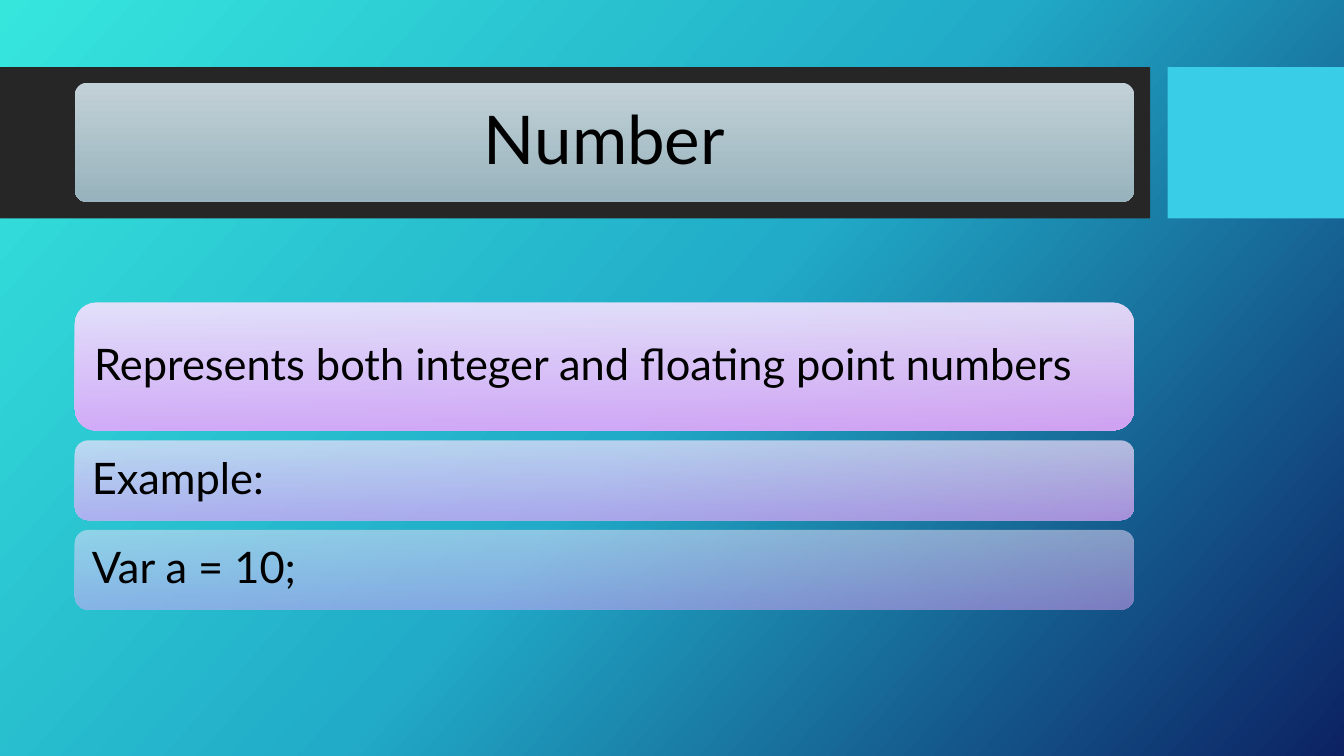
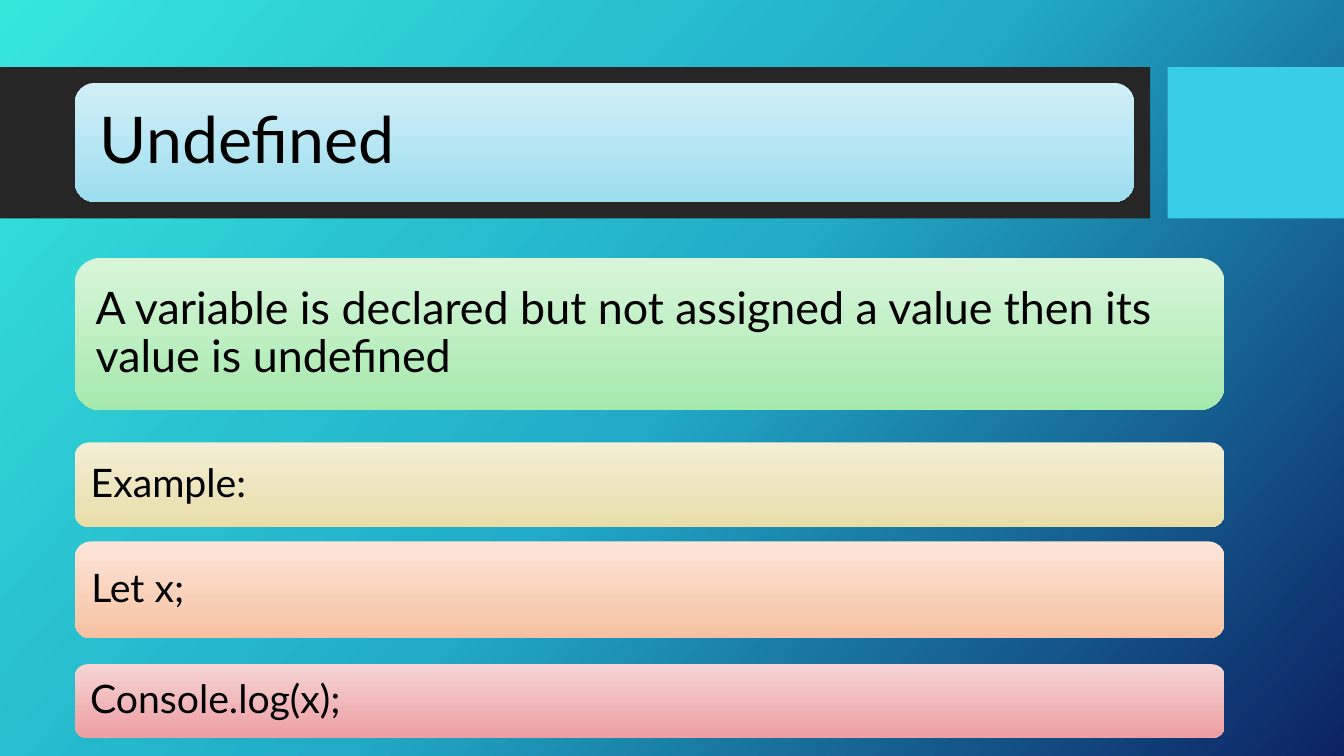
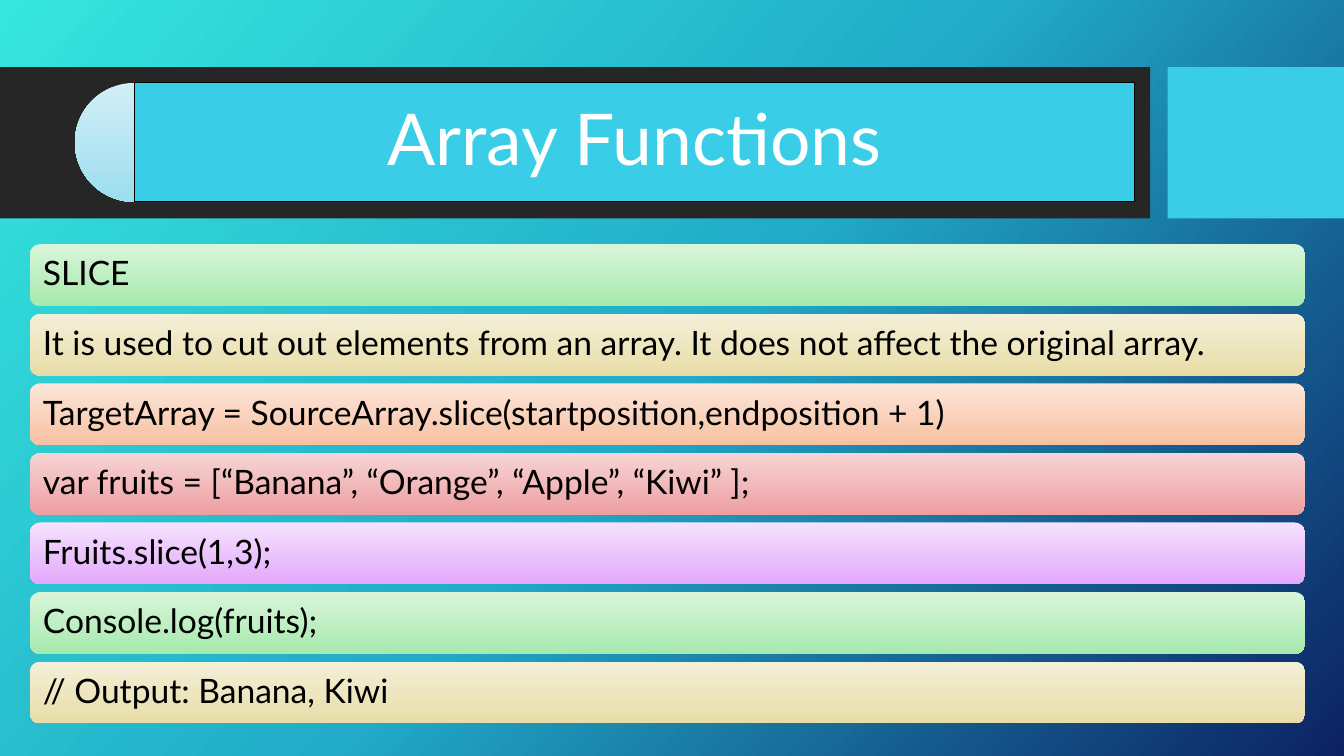
from lxml.etree import SubElement
from pptx import Presentation
from pptx.dml.color import RGBColor
from pptx.enum.shapes import MSO_SHAPE
from pptx.enum.text import MSO_ANCHOR, PP_ALIGN
from pptx.oxml.ns import qn
from pptx.util import Pt

FONT = "Lato"
COLOR = {"band": "262626", "accent": "39CDE7", "ink": "000000", "light": "FFFFFF"}
TONE = {
    "page": ("36E6DD", "21ABC8", "0C2263"),
    "gray": ("C2D1D7", "98B3BD"),
    "sky": ("D2EFF7", "9CDEEF"),
    "green": ("D8F5DA", "A6E9AD"),
    "sand": ("F4EFD8", "E8DDA8"),
    "peach": ("FCE6DA", "F7C1A1"),
    "rose": ("F6D4D5", "ED9FA2"),
    "lilac": ("F5E2FE", "E3A8FB"),
}
HEAD = (53.5, 59.2, 756.6, 85)
CORNER = 0.16667
INSET = 0.3


def rgb(name):
    return RGBColor.from_string(COLOR[name])


def blend(fill, root, tone, angle=90, alpha=100):
    fill.gradient()
    fill.gradient_angle = 360 - angle
    stops = root.find(".//" + qn("a:gsLst"))
    for old in list(stops):
        stops.remove(old)
    hues = TONE[tone]
    for i, hue in enumerate(hues):
        stop = SubElement(stops, qn("a:gs"), pos=str(100000 * i // (len(hues) - 1)))
        color = SubElement(stop, qn("a:srgbClr"), val=hue)
        if alpha < 100:
            SubElement(color, qn("a:alpha"), val=str(alpha * 1000))


def place(shape, box):
    shape.left, shape.top, shape.width, shape.height = (Pt(round(v, 2)) for v in box)


def draw(slide, kind, box):
    shape = slide.shapes.add_shape(kind, *(Pt(round(v, 2)) for v in box))
    shape.shadow.inherit = False
    shape.line.fill.background()
    return shape


def write(shape, text, size, color="ink", align=PP_ALIGN.LEFT):
    frame = shape.text_frame
    frame.text = text
    frame.word_wrap = True
    frame.vertical_anchor = MSO_ANCHOR.MIDDLE
    pad = Pt(round(size * INSET, 2))
    frame.margin_left = frame.margin_right = pad
    frame.margin_top = frame.margin_bottom = pad
    for para in frame.paragraphs:
        para.alignment = align
        para.line_spacing = 0.9
        for run in para.runs:
            run.font.name = FONT
            run.font.size = Pt(size)
            run.font.color.rgb = rgb(color)


def bar(slide, box, tone, alpha=100, corner=CORNER):
    shape = draw(slide, MSO_SHAPE.ROUNDED_RECTANGLE, box)
    shape.adjustments[0] = corner
    blend(shape.fill, shape.element, tone, alpha=alpha)
    return shape


def raise_title(slide, box):
    title = slide.shapes.title
    slide.shapes.element.append(title.element)
    place(title, box)
    return title


def pill_head(slide, box, text, size, tone, align, corner=CORNER):
    x, y, w, h = box
    bar(slide, box, tone, corner=corner)
    edge = 0.29 * corner * h
    title = raise_title(slide, (x + edge, y + edge, w - 2 * edge, h - 2 * edge))
    write(title, text, size, align=align)


def pie_head(slide, box, text, size):
    x, y, w, h = box
    pie = draw(slide, MSO_SHAPE.PIE, (x, y, h, h))
    pie.adjustments[0], pie.adjustments[1] = 54, 162
    blend(pie.fill, pie.element, "sky")
    title = raise_title(slide, (x + h / 2, y, w - h / 2, h))
    title.fill.solid()
    title.fill.fore_color.rgb = rgb("accent")
    title.line.color.rgb = rgb("ink")
    title.line.width = Pt(0.75)
    write(title, text, size, "light", PP_ALIGN.CENTER)


def stack(slide, left, top, width, rows):
    for text, size, tone, alpha, height, gap in rows:
        shape = bar(slide, (left, top, width, height), tone, alpha)
        write(shape, text, size)
        top += height + gap


def dress(deck, layout):
    master = deck.slide_master
    blend(master.background.fill, master.element, "page", 42)


def add_bands(slide, layout):
    bands = (((0, 48, 821.5, 108), "band"), ((834, 48, 126, 108), "accent"))
    for spot, (box, color) in enumerate(bands, 2):
        band = draw(slide, MSO_SHAPE.RECTANGLE, box)
        band.fill.solid()
        band.fill.fore_color.rgb = rgb(color)
        layout.shapes.element.insert(spot, band.element)


def number(slide):
    pill_head(slide, HEAD, "Number", 48, "gray", PP_ALIGN.CENTER, 0.1)
    stack(slide, 53.5, 216, 756.6, (
        ("Represents both integer and floating point numbers", 31, "lilac", 90, 91.5, 7),
        ("Example:", 31, "lilac", 70, 57, 7),
        ("Var a = 10;", 31, "lilac", 50, 57, 0),
    ))


def undefined(slide):
    pill_head(slide, HEAD, "Undefined", 46, "sky", PP_ALIGN.LEFT)
    stack(slide, 53.5, 184.3, 821.3, (
        ("A variable is declared but not assigned a value then its value is undefined",
         32, "green", 100, 108.5, 23.2),
        ("Example:", 28, "sand", 100, 60.5, 10.2),
        ("Let x;", 28, "peach", 100, 69.3, 18.5),
        ("Console.log(x);", 28, "rose", 100, 52.6, 0),
    ))


def arrays(slide):
    pie_head(slide, HEAD, "Array Functions", 51)
    lines = (
        ("SLICE", "green"),
        ("It is used to cut out elements from an array. "
         "It does not affect the original array.", "sand"),
        ("TargetArray = SourceArray.slice(startposition,endposition + 1)", "peach"),
        ("var fruits = [“Banana”, “Orange”, “Apple”, “Kiwi” ];", "rose"),
        ("Fruits.slice(1,3);", "lilac"),
        ("Console.log(fruits);", "green"),
        ("// Output: Banana, Kiwi", "sand"),
    )
    rows = [(text, 24, tone, 100, 44.2, 5.5) for text, tone in lines]
    stack(slide, 21.4, 174.4, 910.8, rows)


def main():
    deck = Presentation()
    deck.slide_width, deck.slide_height = Pt(960), Pt(540)
    layout = deck.slide_layouts.get_by_name("Title Only")
    dress(deck, layout)
    for build in (number, undefined, arrays):
        slide = deck.slides.add_slide(layout)
        if build is number:
            add_bands(slide, layout)
        build(slide)
    deck.save("out.pptx")


if __name__ == "__main__":
    main()
